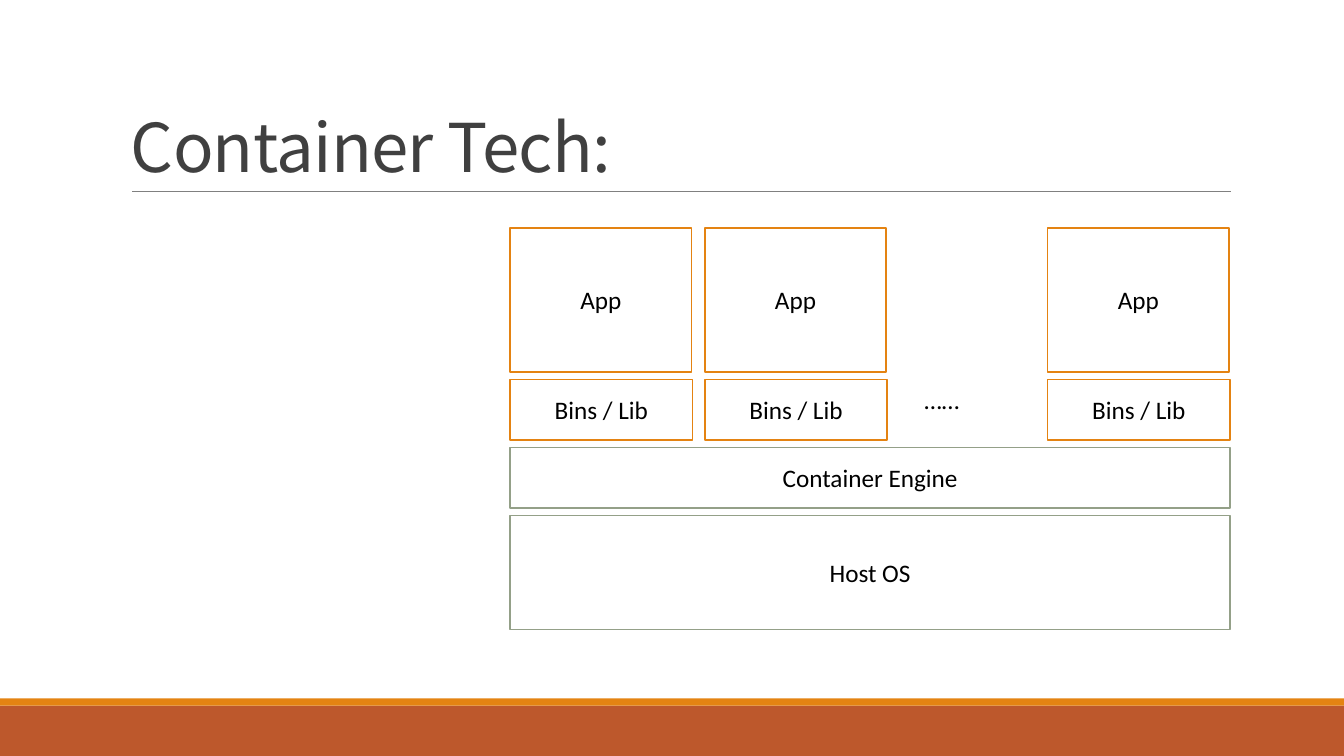
import dataclasses

import pptx
import pptx.dml.color
import pptx.enum.shapes
import pptx.enum.text
import pptx.oxml
import pptx.oxml.ns
import pptx.util

SLIDE_WIDTH = 13.33
SLIDE_HEIGHT = 7.5
ROW_GAP = SLIDE_HEIGHT / 100
STACK_LEFT = 5.06
STACK_TOP = 2.26
STACK_WIDTH = 7.14
COLUMN_LEFTS = (STACK_LEFT, 6.99, 10.39)
COLUMN_WIDTH = 1.81


@dataclasses.dataclass(frozen=True)
class Theme:
    body_font: str = "Calibri"
    title_font: str = "Noto Sans CJK SC"
    title_size: float = 48
    body_size: float = 18
    outline: float = 1.25
    rule_width: float = 0.5
    paper: str = "FFFFFF"
    text: str = "000000"
    title: str = "404040"
    rule: str = "808080"
    orange: str = "E48312"
    rust: str = "BD582C"
    sage: str = "94A088"


THEME = Theme()


def color(value):
    return pptx.dml.color.RGBColor.from_string(value)


def inches(*lengths):
    return [pptx.util.Inches(length) for length in lengths]


def write(shape, text, font, size, ink, anchor, align=None):
    frame = shape.text_frame
    frame.text = text
    frame.vertical_anchor = anchor
    para = frame.paragraphs[0]
    para.alignment = align
    span = para.runs[0]
    span.font.name = font
    span.font.size = pptx.util.Pt(size)
    span.font.color.rgb = color(ink)
    return para


def add_block(page, area, fill, outline=None, text=None):
    block = page.shapes.add_shape(
        pptx.enum.shapes.MSO_SHAPE.RECTANGLE, *inches(*area))
    block.shadow.inherit = False
    block.fill.solid()
    block.fill.fore_color.rgb = color(fill)
    if outline:
        block.line.color.rgb = color(outline)
        block.line.width = pptx.util.Pt(THEME.outline)
    else:
        block.line.fill.background()
    if text:
        write(block, text, THEME.body_font, THEME.body_size, THEME.text,
              pptx.enum.text.MSO_ANCHOR.MIDDLE, pptx.enum.text.PP_ALIGN.CENTER)


def add_rule(page, left, right, top):
    rule = page.shapes.add_connector(
        pptx.enum.shapes.MSO_CONNECTOR.STRAIGHT, *inches(left, top, right, top))
    rule.line.color.rgb = color(THEME.rule)
    rule.line.width = pptx.util.Pt(THEME.rule_width)
    pptx.oxml.ns.qn("a:effectLst")
    rule.element.spPr.append(pptx.oxml.parse_xml(
        "<a:effectLst %s/>" % pptx.oxml.ns.nsdecls("a")))


def add_title(page, text):
    box = page.shapes.add_textbox(*inches(1.2, 0.31, 11, 1.59))
    box.text_frame.word_wrap = True
    para = write(box, text, THEME.title_font, THEME.title_size, THEME.title,
                 pptx.enum.text.MSO_ANCHOR.BOTTOM)
    para.line_spacing = 0.85
    para.runs[0].font._element.set("spc", "-50")


def add_ellipsis(page, top):
    box = page.shapes.add_textbox(*inches(9.07, top, 0.56, 0.4))
    box.text_frame.word_wrap = False
    box.text_frame.auto_size = pptx.enum.text.MSO_AUTO_SIZE.SHAPE_TO_FIT_TEXT
    write(box, "……", THEME.body_font, THEME.body_size, THEME.text,
          pptx.enum.text.MSO_ANCHOR.TOP)


def add_stack(page):
    whole_row = (STACK_LEFT,)
    rows = (
        ("App", 1.43, COLUMN_LEFTS, COLUMN_WIDTH - 0.01, THEME.orange),
        ("Bins / Lib", 0.6, COLUMN_LEFTS, COLUMN_WIDTH, THEME.orange),
        ("Container Engine", 0.6, whole_row, STACK_WIDTH, THEME.sage),
        ("Host OS", 1.13, whole_row, STACK_WIDTH, THEME.sage),
    )
    top = STACK_TOP
    for text, height, lefts, width, outline in rows:
        for left in lefts:
            add_block(page, (left, top, width, height), THEME.paper, outline, text)
        top += height + ROW_GAP
    add_ellipsis(page, STACK_TOP + rows[0][1] + ROW_GAP)


def main():
    deck = pptx.Presentation()
    deck.slide_width, deck.slide_height = inches(SLIDE_WIDTH, SLIDE_HEIGHT)
    page = deck.slides.add_slide(deck.slide_layouts[6])
    add_block(page, (0, 7, SLIDE_WIDTH, 0.5), THEME.rust)
    add_block(page, (0, 6.93, SLIDE_WIDTH, 0.07), THEME.orange)
    add_rule(page, 1.31, 12.21, 1.9)
    add_title(page, "Container Tech:")
    add_stack(page)
    deck.save("out.pptx")


if __name__ == "__main__":
    main()
